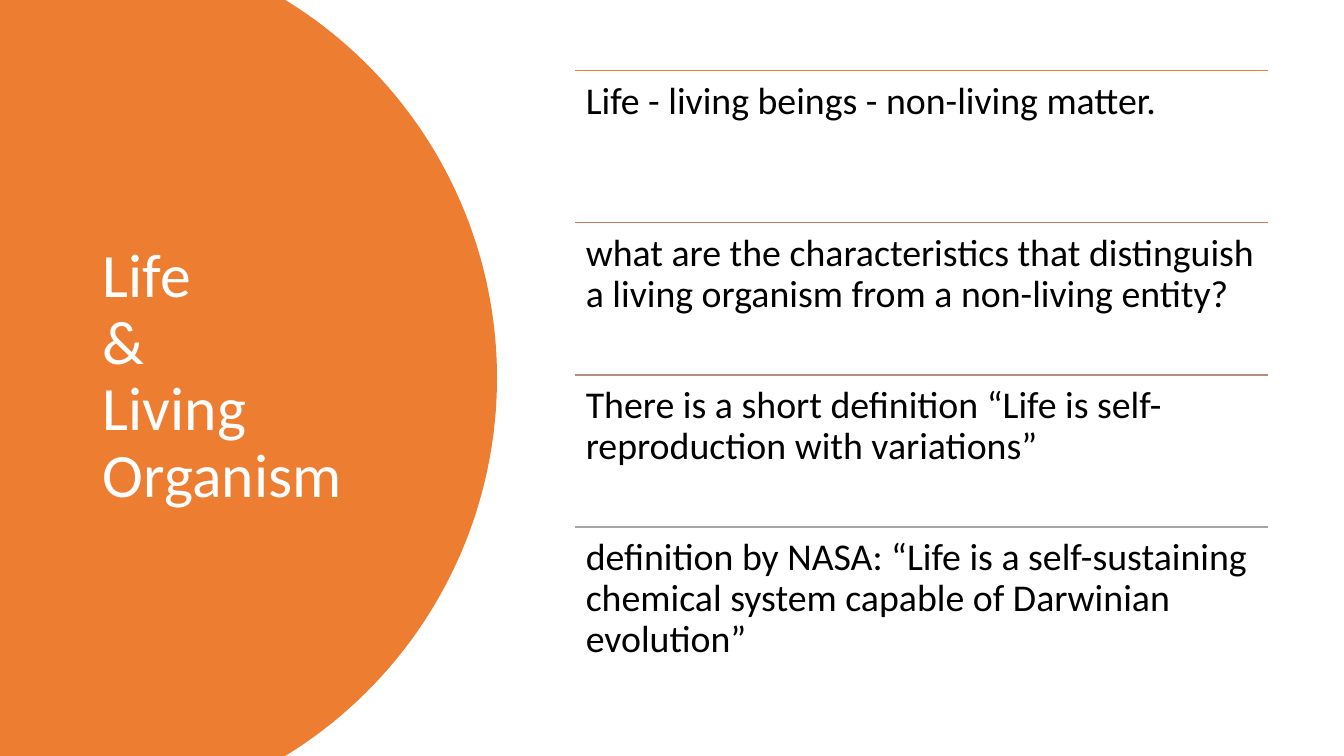
import math

from lxml import etree
from pptx import Presentation
from pptx.dml.color import RGBColor
from pptx.enum.shapes import MSO_CONNECTOR
from pptx.enum.text import MSO_ANCHOR, MSO_AUTO_SIZE, PP_ALIGN
from pptx.oxml.ns import qn
from pptx.util import Inches, Pt

STRAIGHT = MSO_CONNECTOR.STRAIGHT
TOP, MIDDLE = MSO_ANCHOR.TOP, MSO_ANCHOR.MIDDLE
LEFT = PP_ALIGN.LEFT
NO_FIT = MSO_AUTO_SIZE.NONE

ORANGE = RGBColor(0xED, 0x7D, 0x31)
CLAY = RGBColor(0xD1, 0x7B, 0x5C)
MAUVE = RGBColor(0xB9, 0x8A, 0x82)
GRAY = RGBColor(0xA5, 0xA5, 0xA5)
WHITE = RGBColor(0xFF, 0xFF, 0xFF)
BLACK = RGBColor(0, 0, 0)

WIDTH, HEIGHT = 13.33, 7.5
ROW_LEFT, ROW_TOP, ROW_WIDTH, ROW_HEIGHT = 5.7, 0.7, 6.88, 1.51

STATEMENTS = [
    (ORANGE, "Life - living beings - non-living matter."),
    (CLAY, "what are the characteristics that distinguish a living organism "
           "from a non-living entity?"),
    (MAUVE, "There is a short definition “Life is self-reproduction with variations”"),
    (GRAY, "definition by NASA: “Life is a self-sustaining chemical system "
           "capable of Darwinian evolution”"),
]


class SlideBuilder:
    font = "Calibri"
    line_spacing = 0.9

    def __init__(self, prs):
        self.s = prs.slides.add_slide(prs.slide_layouts[5])

    def set_text(self, tf, text, size, color, anchor):
        tf.word_wrap = True
        tf.auto_size = NO_FIT
        tf.vertical_anchor = anchor
        tf.text = text
        p = tf.paragraphs[0]
        p.alignment = LEFT
        p.line_spacing = self.line_spacing
        p.font.name = self.font
        p.font.size = Pt(size)
        p.font.color.rgb = color

    def title(self, text, x, y, w, h):
        sp = self.s.shapes.title
        sp.left, sp.top, sp.width, sp.height = map(Inches, (x, y, w, h))
        self.set_text(sp.text_frame, text, 44, WHITE, MIDDLE)

    def round_panel(self, edge, right, color, steps=80):
        depth, half = right - edge, HEIGHT / 2
        radius = (depth ** 2 + half ** 2) / (2 * depth)
        sweep = math.asin(half / radius)
        angles = [sweep * (2 * i / steps - 1) for i in range(steps + 1)]
        arc = [(Inches(right - radius + radius * math.cos(a)),
                Inches(half + radius * math.sin(a))) for a in angles]
        builder = self.s.shapes.build_freeform(0, 0)
        builder.add_line_segments(arc + [(0, Inches(HEIGHT))], close=True)
        sp = builder.convert_to_shape()
        sp.shadow.inherit = False
        sp.fill.solid()
        sp.fill.fore_color.rgb = color
        sp.line.fill.background()
        self.s.shapes.title._element.addprevious(sp._element)

    def rule(self, x, y, w, color):
        line = self.s.shapes.add_connector(
            STRAIGHT, Inches(x), Inches(y), Inches(x + w), Inches(y))
        line.line.color.rgb = color
        line.line.width = Pt(1)
        etree.SubElement(line._element.spPr, qn("a:effectLst"))

    def statement(self, text, x, y, w, h):
        tf = self.s.shapes.add_textbox(*map(Inches, (x, y, w, h))).text_frame
        tf.margin_left = tf.margin_right = Inches(0.11)
        tf.margin_top = tf.margin_bottom = Inches(0.11)
        self.set_text(tf, text, 27, BLACK, TOP)


def main():
    prs = Presentation()
    prs.slide_width, prs.slide_height = Inches(WIDTH), Inches(HEIGHT)
    slide = SlideBuilder(prs)
    slide.round_panel(2.83, 4.93, ORANGE)
    slide.title("Life\v&\vLiving Organism", 0.92, 0.7, 3.23, 6.09)
    for i, (color, text) in enumerate(STATEMENTS):
        y = ROW_TOP + i * ROW_HEIGHT
        slide.rule(ROW_LEFT, y, ROW_WIDTH, color)
        slide.statement(text, ROW_LEFT, y, ROW_WIDTH, ROW_HEIGHT)
    prs.save("out.pptx")


if __name__ == "__main__":
    main()
